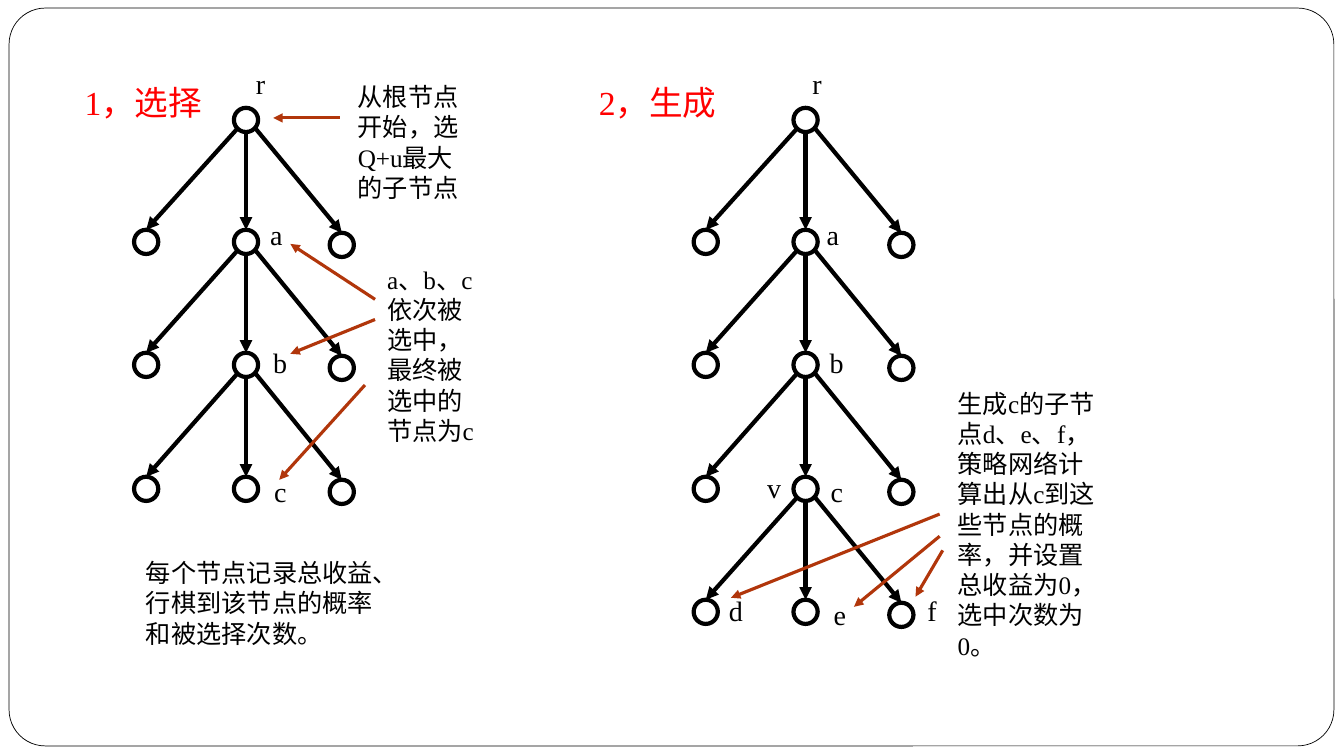
import pptx
import pptx.util
import pptx.dml.color
import pptx.enum.shapes
import pptx.oxml
import pptx.oxml.ns

Inches = pptx.util.Inches
Pt = pptx.util.Pt
RGB = pptx.dml.color.RGBColor.from_string
SHAPE = pptx.enum.shapes.MSO_SHAPE
COLORS = {"ink": "000000", "paper": "FFFFFF", "rust": "B1360B", "red": "FF0000"}
NODE = 0.24

deck = pptx.Presentation()
deck.slide_width, deck.slide_height = Inches(13.33), Inches(7.5)
slide = deck.slides.add_slide(deck.slide_layouts[6])
shapes = slide.shapes


def add_text(text, left, top, width, height, size, color="ink"):
    box = shapes.add_textbox(Inches(left), Inches(top), Inches(width), Inches(height))
    box.text_frame.word_wrap = True
    para = box.text_frame.paragraphs[0]
    para.text = text
    para.font.size = Pt(size)
    para.font.name = "Times New Roman"
    para.font.color.rgb = RGB(COLORS[color])


def add_arrow(x1, y1, x2, y2, color, weight):
    arrow = shapes.add_connector(
        pptx.enum.shapes.MSO_CONNECTOR.STRAIGHT,
        Inches(x1), Inches(y1), Inches(x2), Inches(y2))
    arrow.line.color.rgb = RGB(COLORS[color])
    arrow.line.width = Pt(weight)
    props = arrow._element.spPr
    tail = pptx.oxml.parse_xml(
        '<a:tailEnd %s type="triangle"/>' % pptx.oxml.ns.nsdecls("a"))
    props.find(pptx.oxml.ns.qn("a:ln")).append(tail)
    props.append(pptx.oxml.parse_xml(
        "<a:effectLst %s/>" % pptx.oxml.ns.nsdecls("a")))
    return arrow


# Frame
frame = shapes.add_shape(SHAPE.ROUNDED_RECTANGLE, Inches(0.09), Inches(0.08),
                         Inches(13.14), Inches(7.32))
frame.adjustments[0] = 0.049
frame.shadow.inherit = False
frame.fill.solid()
frame.fill.fore_color.rgb = RGB(COLORS["paper"])
frame.line.color.rgb = RGB(COLORS["ink"])
frame.line.width = Pt(0.5)

# Trees: each level opens from the middle node of the level above
levels = [1.19, 2.4, 3.62, 4.85, 6.07]
# child x offset, child y offset, arrow start x, arrow start y
kids = [(-0.99, 0, -0.08, 0.08), (0, 0, 0, 0.12), (0.95, 0.03, 0.09, 0.08)]
for mid, depth in [(2.44, 4), (7.99, 5)]:
    for row, y in enumerate(levels[:depth]):
        for dx, dy, sx, sy in kids if row else [(0, 0, 0, 0)]:
            node = shapes.add_shape(
                SHAPE.OVAL, Inches(mid + dx - NODE / 2),
                Inches(y + dy - NODE / 2), Inches(NODE), Inches(NODE))
            node.shadow.inherit = False
            node.fill.background()
            node.line.color.rgb = RGB(COLORS["ink"])
            node.line.width = Pt(3)
            if row:
                edge = add_arrow(mid + sx, levels[row - 1] + sy,
                                 mid + dx, y + dy - NODE / 2, "ink", 3)
                edge.end_connect(node, 0)

# Node letters
for shift in (0, 5.52):
    for name, x, y in [("r", 2.44, 0.61), ("a", 2.58, 2.11),
                       ("b", 2.61, 3.38), ("c", 2.62, 4.66)]:
        add_text(name, x + shift, y, 0.44, 0.44, 20)
for name, x, y in [("d", 7.13, 5.84), ("e", 8.17, 5.88),
                   ("f", 9.1, 5.84), ("v", 7.51, 4.62)]:
    add_text(name, x, y, 0.44, 0.44, 20)

# Notes beside the trees
for note, *place in [
    ("每个节点记录总收益、行棋到该节点的概率和被选择次数。", 1.35, 5.48, 2.57, 1.01),
    ("a、b、c依次被选中，最终被选中的节点为c", 3.74, 2.57, 1.11, 1.92),
    ("生成c的子节点d、e、f，策略网络计算出从c到这些节点的概率，并设置总收益为0，选中次数为0。",
     9.4, 3.8, 1.58, 2.52),
    ("从根节点开始，选Q+u最大的子节点", 3.45, 0.76, 1.32, 1.31),
]:
    add_text(note, *place, 18)

# Pointers from notes to nodes
for ends in [
    (3.37, 1.17, 2.71, 1.17), (3.72, 2.97, 2.88, 2.42),
    (3.72, 3.17, 2.88, 3.51), (3.62, 3.82, 2.77, 4.76),
    (9.32, 5.1, 7.25, 5.93), (9.32, 5.32, 8.47, 6.02),
    (9.35, 5.46, 9.08, 5.92),
]:
    add_arrow(*ends, "rust", 2.25)

# Step headings
for step, x in [("1，选择", 0.74), ("2，生成", 5.84)]:
    add_text(step, x, 0.76, 1.41, 0.5, 24, "red")

deck.save("out.pptx")
